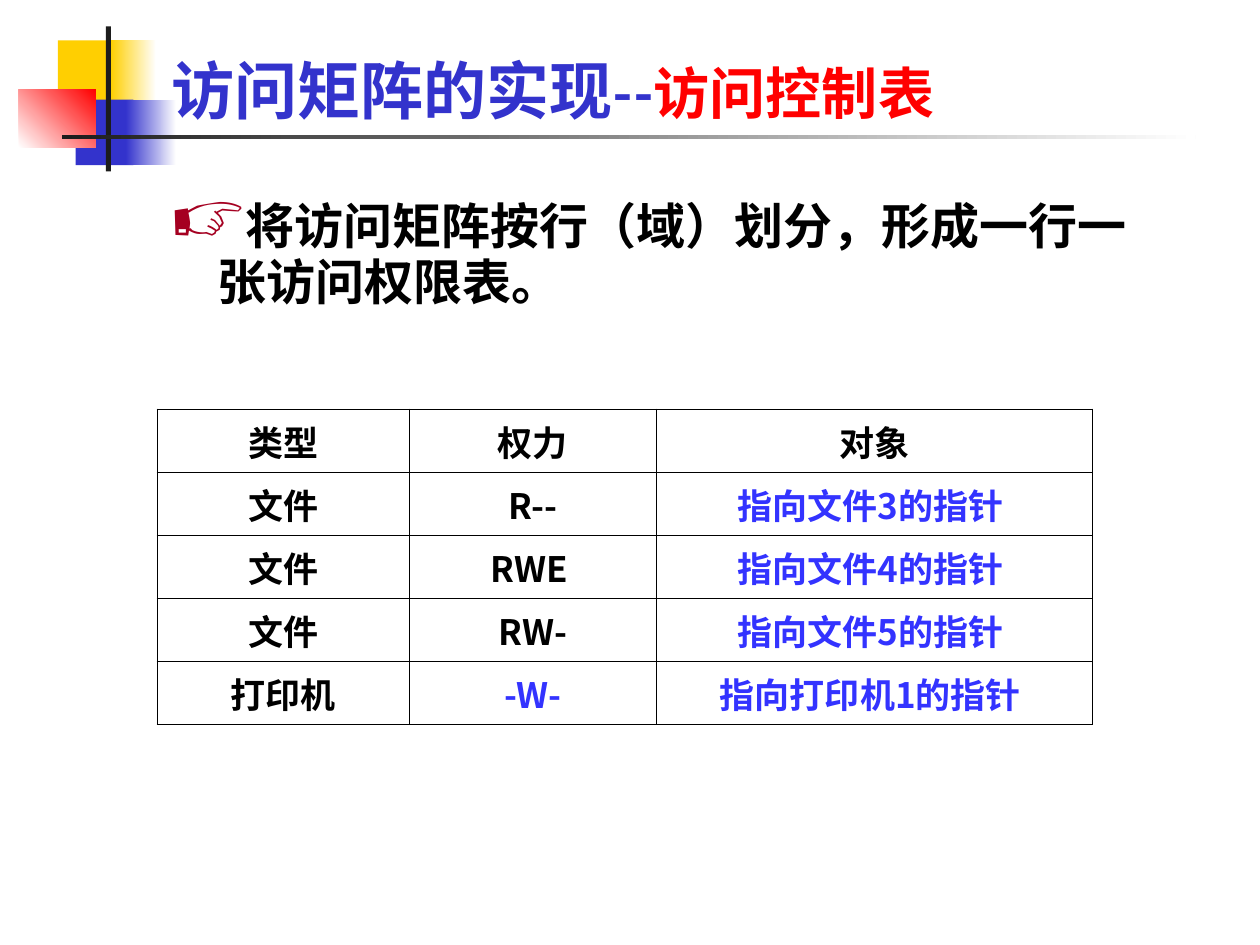
import pptx
import pptx.util
import pptx.dml.color
import pptx.enum.shapes
import pptx.enum.text
from lxml import etree
from pptx.oxml.ns import qn

Inches = pptx.util.Inches
Pt = pptx.util.Pt
RGBColor = pptx.dml.color.RGBColor

BLACK = RGBColor(0x00, 0x00, 0x00)
WHITE = RGBColor(0xFF, 0xFF, 0xFF)
CHARCOAL = RGBColor(0x1C, 0x1C, 0x1C)
YELLOW = RGBColor(0xFF, 0xCF, 0x01)
NAVY = RGBColor(0x33, 0x33, 0xCC)
BLUE = RGBColor(0x33, 0x33, 0xFF)
RED = RGBColor(0xFF, 0x00, 0x00)
CRIMSON = RGBColor(0xA5, 0x00, 0x21)

LATO = "Lato"
NOTO = "Noto Sans CJK SC"

ORNAMENTS = [
    ((0.46, 0.32, 0.48, 0.52), (YELLOW,), 0),
    ((0.88, 0.32, 0.36, 0.52), (YELLOW, WHITE), 0),
    ((0.6, 0.79, 0.46, 0.52), (NAVY,), 0),
    ((1, 0.79, 0.4, 0.52), (NAVY, WHITE), 0),
    ((0.15, 0.71, 0.61, 0.46), (WHITE, RED), 45),
    ((0.84, 0.21, 0.04, 1.15), (CHARCOAL,), 0),
    ((0.49, 1.07, 9, 0.03), (CHARCOAL, WHITE), 0),
]
TITLE = [("访问矩阵的实现", 36, NAVY), ("--", 32, NAVY), ("访问控制表", 32, RED)]
STATEMENT = "将访问矩阵按行（域）划分，形成一行一张访问权限表。"
RIGHTS = [
    [("类型", BLACK), ("权力", BLACK), ("对象", BLACK)],
    [("文件", BLACK), ("R--", BLACK), ("指向文件3的指针 ", BLUE)],
    [("文件", BLACK), ("RWE ", BLACK), ("指向文件4的指针 ", BLUE)],
    [("文件", BLACK), ("RW-", BLACK), ("指向文件5的指针 ", BLUE)],
    [("打印机", BLACK), ("-W-", BLUE), ("指向打印机1的指针 ", BLUE)],
]
COLUMN_WIDTHS = [2, 1.96, 3.46]
ROW_HEIGHT = 0.5
THIN, THICK = 0.45, 1.08


def add_ornament(page, place, colors, angle):
    shape = page.shapes.add_shape(
        pptx.enum.shapes.MSO_SHAPE.RECTANGLE, *map(Inches, place))
    shape.shadow.inherit = False
    shape.line.fill.background()
    if len(colors) == 1:
        shape.fill.solid()
        shape.fill.fore_color.rgb = colors[0]
        return
    shape.fill.gradient()
    shape.fill.gradient_angle = angle
    for stop, color in zip(shape.fill.gradient_stops, colors):
        stop.color.rgb = color


def add_span(para, text, size, color, face):
    span = para.add_run()
    span.text = text
    span.font.size = Pt(size)
    span.font.bold = True
    span.font.color.rgb = color
    span.font.name = face
    etree.SubElement(span.font._element, qn("a:ea"), typeface=face)


def add_box(page, place, anchor):
    box = page.shapes.add_textbox(*map(Inches, place))
    box.text_frame.word_wrap = True
    box.text_frame.vertical_anchor = anchor
    return box.text_frame.paragraphs[0]


def add_bullet(para, mark, color, percent):
    properties = para._p.get_or_add_pPr()
    properties.set("marL", str(Inches(0.38)))
    properties.set("indent", str(Inches(-0.38)))
    tint = etree.SubElement(properties, qn("a:buClr"))
    etree.SubElement(tint, qn("a:srgbClr"), val=str(color))
    etree.SubElement(properties, qn("a:buSzPct"), val=str(percent * 1000))
    etree.SubElement(properties, qn("a:buChar"), char=mark)


def set_borders(cell, widths):
    properties = cell._tc.get_or_add_tcPr()
    for position, (side, width) in enumerate(widths.items()):
        line = etree.Element(qn(f"a:ln{side}"), w=str(Pt(width)))
        fill = etree.SubElement(line, qn("a:solidFill"))
        etree.SubElement(fill, qn("a:srgbClr"), val=str(BLACK))
        properties.insert(position, line)


def add_rights_table(page):
    last_row, last_column = len(RIGHTS) - 1, len(COLUMN_WIDTHS) - 1
    table = page.shapes.add_table(
        len(RIGHTS), len(COLUMN_WIDTHS), Inches(1.25), Inches(3.25),
        Inches(sum(COLUMN_WIDTHS)), Inches(ROW_HEIGHT * len(RIGHTS))).table
    table.first_row = False
    table.horz_banding = False
    for column, width in zip(table.columns, COLUMN_WIDTHS):
        column.width = Inches(width)
    for r, entries in enumerate(RIGHTS):
        table.rows[r].height = Inches(ROW_HEIGHT)
        for c, (text, color) in enumerate(entries):
            cell = table.cell(r, c)
            cell.fill.background()
            para = cell.text_frame.paragraphs[0]
            para.alignment = pptx.enum.text.PP_ALIGN.CENTER
            add_span(para, text, 20, color, NOTO)
            set_borders(cell, {
                "L": THICK if c == 0 else THIN,
                "R": THICK if c == last_column else THIN,
                "T": THICK if r == 0 else THIN,
                "B": THICK if r == last_row else THIN,
            })


def main():
    deck = pptx.Presentation()
    deck.slide_width, deck.slide_height = Inches(10), Inches(7.5)
    page = deck.slides.add_slide(deck.slide_layouts[6])
    for ornament in ORNAMENTS:
        add_ornament(page, *ornament)

    statement = add_box(page, (1.25, 1.54, 7.92, 1.02),
                        pptx.enum.text.MSO_ANCHOR.TOP)
    add_bullet(statement, "☞", CRIMSON, 155)
    statement.line_spacing = 0.95
    add_span(statement, STATEMENT, 28, BLACK, LATO)

    add_rights_table(page)

    title = add_box(page, (1.26, -0.19, 8.52, 1.25),
                    pptx.enum.text.MSO_ANCHOR.BOTTOM)
    for text, size, color in TITLE:
        add_span(title, text, size, color, LATO)
    deck.save("out.pptx")


if __name__ == "__main__":
    main()
